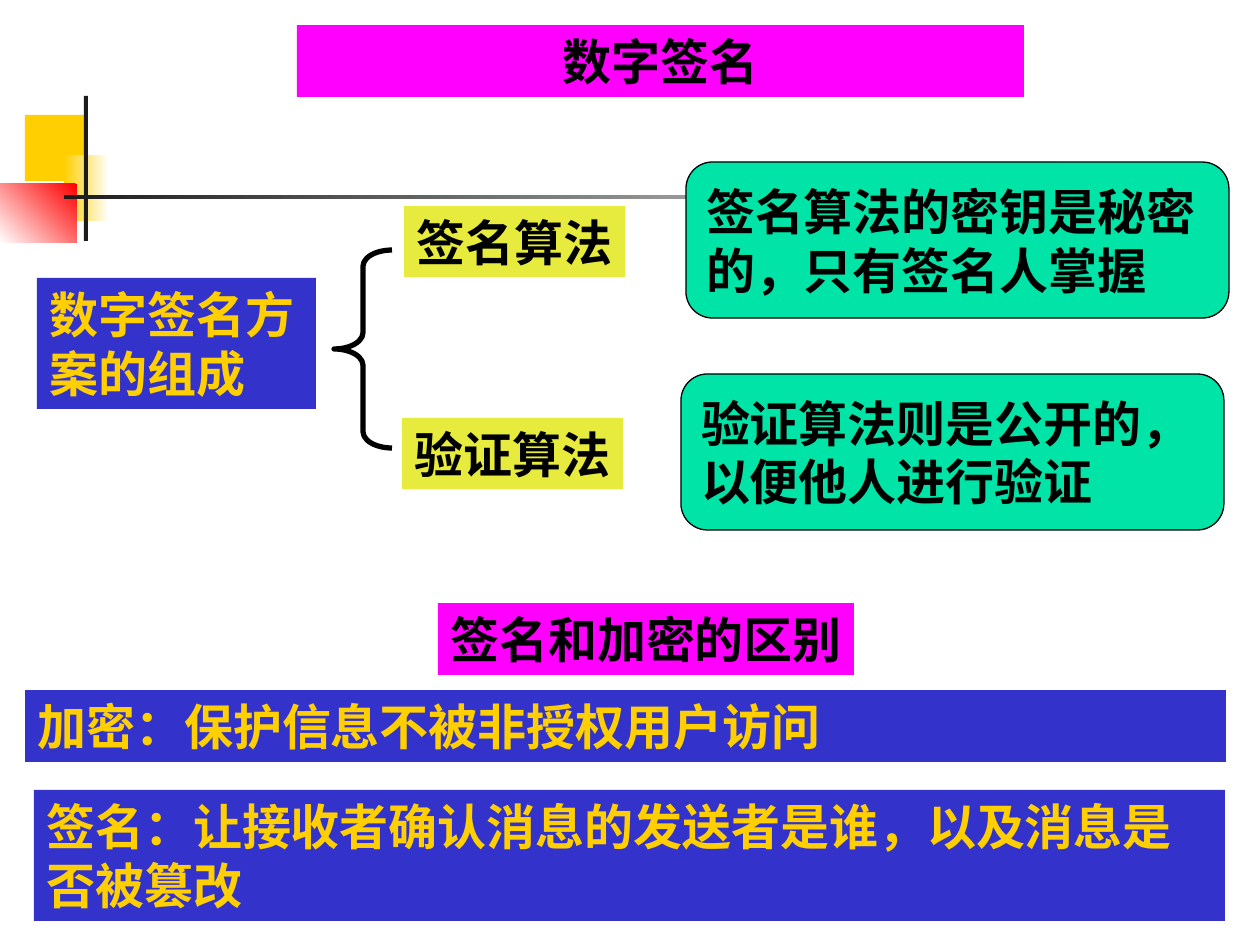
from pptx import Presentation
from pptx import util as u
from pptx.dml.color import RGBColor
from pptx.enum import shapes, text

HUES = {
    "white": "FFFFFF", "black": "000000", "gold": "FFCF01", "red": "FF0000",
    "ink": "1C1C1C", "pink": "FF00FF", "blue": "3333CC", "lime": "E7EB3D",
    "mint": "00E4A8",
}
KIND = shapes.MSO_SHAPE
MID = text.MSO_ANCHOR.MIDDLE
TOP = text.MSO_ANCHOR.TOP


def px(n):
    return u.Emu(round(n * 914400 / 126))


def hue(name):
    return RGBColor.from_string(HUES[name])


def block(slide, box, fill, kind=KIND.RECTANGLE):
    """Plain filled shape without outline."""
    shape = slide.shapes.add_shape(kind, *map(px, box))
    shape.shadow.inherit = False
    shape.line.fill.background()
    if fill:
        shape.fill.solid()
        shape.fill.fore_color.rgb = hue(fill)
    else:
        shape.fill.background()
    return shape


def fade(slide, box, first, last, angle):
    """Block blending from one colour to another."""
    fill = block(slide, box, first).fill
    fill.gradient()
    fill.gradient_angle = angle
    for stop, name in zip(fill.gradient_stops, (first, last)):
        stop.color.rgb = hue(name)


def label(slide, box, words, fill, ink="black", anchor=TOP, wrap=True,
          align=text.PP_ALIGN.LEFT, kind=KIND.RECTANGLE):
    """Filled shape with one bold run."""
    shape = block(slide, box, fill, kind)
    frame = shape.text_frame
    frame.word_wrap = wrap
    frame.vertical_anchor = anchor
    para = frame.paragraphs[0]
    para.alignment = align
    run = para.add_run()
    run.text = words
    run.font.name = "Arial"
    run.font.size = u.Pt(28)
    run.font.bold = True
    run.font.color.rgb = hue(ink)
    return shape


def decor(slide, x, y):
    """Corner squares and crossing rules."""
    block(slide, (x + 25, y + 19, 60, 66), "gold")
    fade(slide, (x + 64, y + 59, 45, 66), "white", "gold", 180)
    fade(slide, (x, y + 88, 77, 59), "red", "white", 225)
    block(slide, (x + 84, y, 4, 145), "ink")
    fade(slide, (x + 64, y + 99, 1134, 4), "white", "ink", 180)


def scheme(slide, x, y):
    """Parts of a signature scheme, joined by a brace."""
    label(slide, (x, y + 116, 279, 131), "数字签名方案的组成", "blue", "gold")
    rows = [
        ("签名算法", 367, 44, "签名算法的密钥是秘密的，只有签名人掌握", 649, 0),
        ("验证算法", 365, 256, "验证算法则是公开的，以便他人进行验证", 644, 212),
    ]
    for name, left, top, note, side, rise in rows:
        label(slide, (x + left, y + top, 221, 71), name, "lime", wrap=False)
        card = label(slide, (x + side, y + rise, 543, 156), note, "mint",
                     anchor=MID, kind=KIND.ROUNDED_RECTANGLE)
        card.adjustments[0] = 0.17
        card.line.color.rgb = hue("black")
        card.line.width = u.Pt(0.75)

    brace = block(slide, (x + 297, y + 88, 58, 198), None, KIND.LEFT_BRACE)
    brace.adjustments[0] = 0.28
    brace.line.color.rgb = hue("black")
    brace.line.width = u.Pt(3)


def contrast(slide, x, y):
    """Signing set against encryption."""
    label(slide, (x + 413, y, 416, 72), "签名和加密的区别", "pink", wrap=False)
    label(slide, (x, y + 87, 1201, 72), "加密：保护信息不被非授权用户访问",
          "blue", "gold")
    label(slide, (x + 9, y + 187, 1191, 131),
          "签名：让接收者确认消息的发送者是谁，以及消息是否被篡改",
          "blue", "gold", MID)


def main():
    deck = Presentation()
    deck.slide_width, deck.slide_height = px(1260), px(945)
    slide = deck.slides.add_slide(deck.slide_layouts[6])
    decor(slide, 0, 96)
    label(slide, (297, 25, 727, 72), "数字签名", "pink", anchor=MID,
          align=text.PP_ALIGN.CENTER)
    scheme(slide, 37, 162)
    contrast(slide, 25, 603)
    deck.save("out.pptx")


if __name__ == "__main__":
    main()
